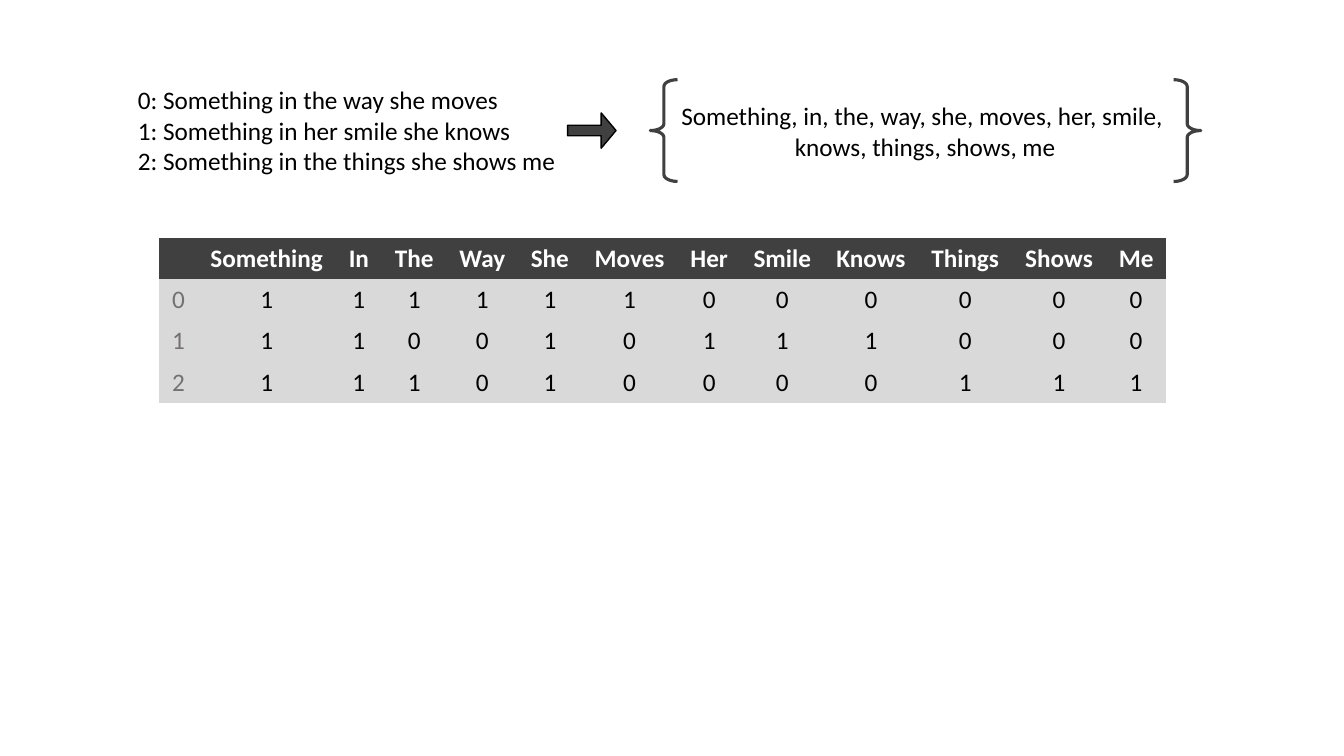
from pptx import Presentation
from pptx import util as u
from pptx.dml import color
from pptx.enum import shapes, text

PX = 9144
DARK, PALE, GREY, BLACK, WHITE = "404040", "D9D9D9", "767171", "000000", "FFFFFF"
NO_STYLE = "{2D5ABB26-0587-4C30-8999-92F81FD0307C}"
SENTENCES = [
    "Something in the way she moves",
    "Something in her smile she knows",
    "Something in the things she shows me",
]
VOCABULARY = list(dict.fromkeys(" ".join(SENTENCES).split()))
COLUMN_WIDTHS = [38, 137, 46, 64, 71, 63, 95, 63, 82, 94, 93, 93, 60]


def px(*lengths):
    return [u.Emu(n * PX) for n in lengths]


def rgb(value):
    return color.RGBColor.from_string(value)


def format_text(tf, ink, align, bold=False):
    for p in tf.paragraphs:
        p.alignment = align
        for r in p.runs:
            r.font.name = "Calibri"
            r.font.size = u.Pt(18)
            r.font.bold = bold
            r.font.color.rgb = rgb(ink)


def add_text(s, box, lines, align):
    tf = s.shapes.add_textbox(*px(*box)).text_frame
    tf.text = "\n".join(lines)
    tf.word_wrap = False
    tf.auto_size = text.MSO_AUTO_SIZE.SHAPE_TO_FIT_TEXT
    format_text(tf, BLACK, align)


def add_outline(s, kind, box, adjustments, line, weight):
    sp = s.shapes.add_shape(kind, *px(*box))
    sp.shadow.inherit = False
    for i, value in enumerate(adjustments):
        sp.adjustments[i] = value
    sp.fill.background()
    sp.line.color.rgb = rgb(line)
    sp.line.width = u.Pt(weight)
    return sp


def add_sentences(s, box):
    lines = [f"{i}: {sentence}" for i, sentence in enumerate(SENTENCES)]
    add_text(s, box, lines, text.PP_ALIGN.LEFT)


def add_arrow(s, box):
    sp = add_outline(s, shapes.MSO_SHAPE.RIGHT_ARROW, box, (0.3, 0.42), BLACK, 1)
    sp.fill.solid()
    sp.fill.fore_color.rgb = rgb(DARK)


def add_vocabulary(s, box):
    x, y, w, h = box
    lines = [", ".join(VOCABULARY[:8]) + ", ", ", ".join(VOCABULARY[8:])]
    add_text(s, (x + 18, y + 16, w - 37, 71), lines, text.PP_ALIGN.CENTER)
    brace = 27
    for left, rotation in ((x, 0), (x + w - brace, 180)):
        sp = add_outline(s, shapes.MSO_SHAPE.LEFT_BRACE, (left, y, brace, h),
                         (0.25, 0.5), DARK, 2.25)
        sp.rotation = rotation


def add_word_counts(s, box):
    rows = [[""] + [word.capitalize() for word in VOCABULARY]]
    for i, sentence in enumerate(SENTENCES):
        words = sentence.split()
        rows.append([str(i)] + [str(words.count(word)) for word in VOCABULARY])
    table = s.shapes.add_table(len(rows), len(rows[0]), *px(*box)).table
    table._tbl.tblPr[0].text = NO_STYLE
    table.horz_banding = False
    for column, width in zip(table.columns, px(*COLUMN_WIDTHS)):
        column.width = width
    for i, row in enumerate(rows):
        for j, value in enumerate(row):
            cell = table.cell(i, j)
            cell.text = value
            cell.vertical_anchor = text.MSO_ANCHOR.MIDDLE
            cell.fill.solid()
            cell.fill.fore_color.rgb = rgb(PALE if i else DARK)
            ink = WHITE if i == 0 else BLACK if j else GREY
            format_text(cell.text_frame, ink, text.PP_ALIGN.CENTER, i == 0)


def main():
    prs = Presentation()
    prs.slide_width, prs.slide_height = px(1333, 750)
    s = prs.slides.add_slide(prs.slide_layouts[6])
    add_word_counts(s, (158, 236, sum(COLUMN_WIDTHS), 164))
    add_sentences(s, (127, 79, 439, 101))
    add_vocabulary(s, (645, 79, 546, 101))
    add_arrow(s, (563, 112, 48, 35))
    prs.save("out.pptx")


if __name__ == "__main__":
    main()
